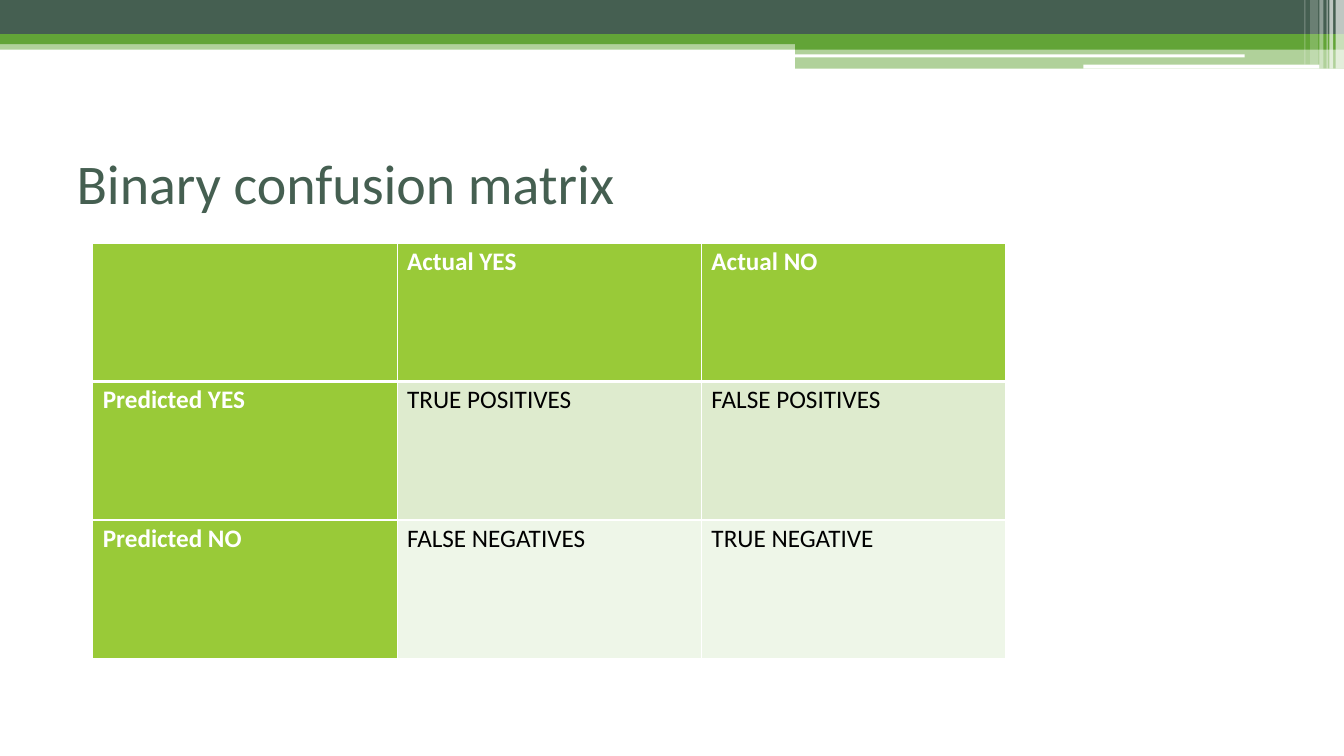
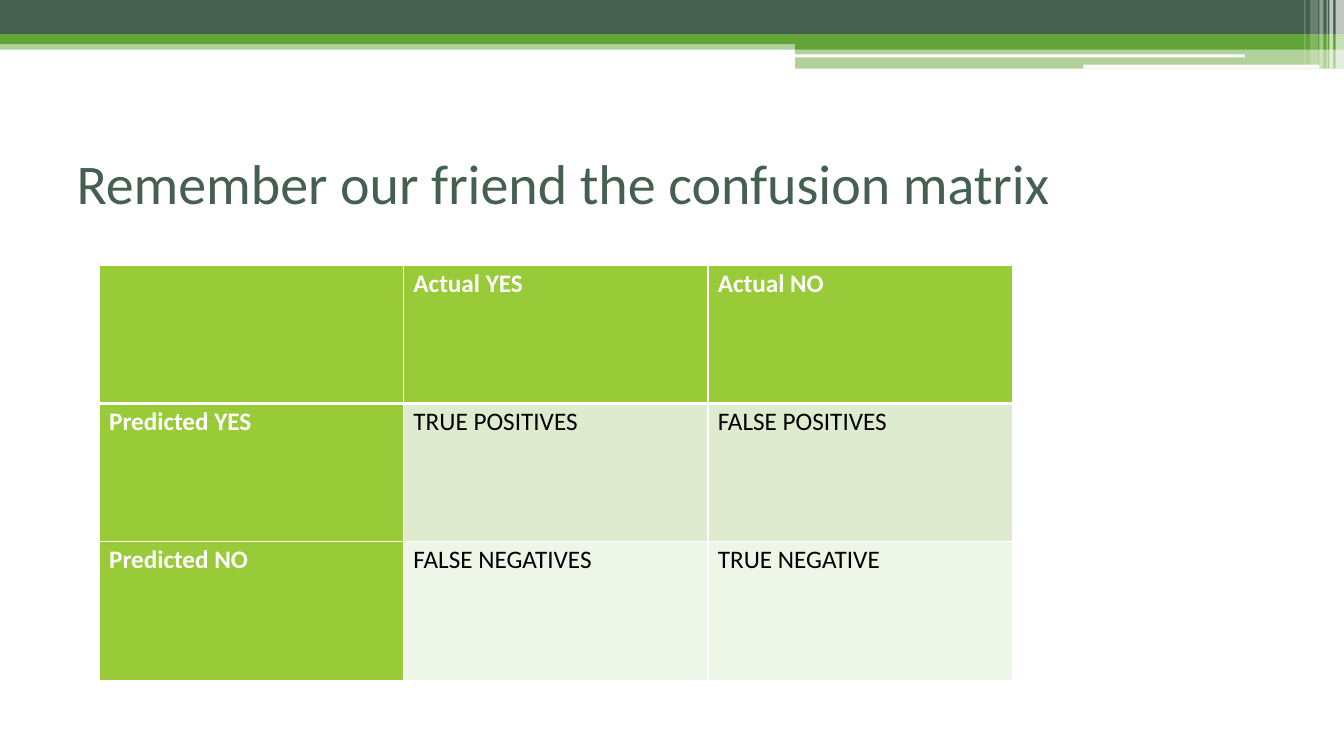
import pptx
import pptx.util
import pptx.dml.color
import pptx.enum.shapes
import pptx.enum.text
import pptx.oxml
import pptx.oxml.ns

Cm = pptx.util.Cm
Pt = pptx.util.Pt
RGB = pptx.dml.color.RGBColor

FONT = "Calibri"
DARK = RGB(0x45, 0x5F, 0x51)
GREEN = RGB(0x62, 0xA4, 0x37)
LIME = RGB(0x99, 0xCA, 0x38)
PALE = RGB(0xDE, 0xEB, 0xCE)
MIST = RGB(0xEE, 0xF6, 0xE8)
WHITE = RGB(0xFF, 0xFF, 0xFF)
BLACK = RGB(0x00, 0x00, 0x00)

WIDE, HIGH = 33.87, 19.05
STEP = 20.04  # where the header band steps down

# Stripes at the right end: distance from the right edge, width, height, opacity
STRIPES = [
    (0.37, 0.1, 1.73, 65),
    (0.21, 0.21, 1.73, 65),
    (0.44, 0.03, 1.73, 60),
    (0.62, 0.1, 1.73, 40),
    (0.85, 0.2, 1.63, 20),
    (1.0, 0.03, 1.63, 30),
]

MATRIX = [
    ["", "Actual YES", "Actual NO"],
    ["Predicted YES", "TRUE POSITIVES", "FALSE POSITIVES"],
    ["Predicted NO", "FALSE NEGATIVES", "TRUE NEGATIVE"],
]

# Title, title width, table left, table top
PAGES = [
    ("Binary confusion matrix", 13.64, 2.34, 6.13),
    ("Remember our friend the confusion matrix", 24.61, 2.5, 6.68),
]


def paint(shape, color, alpha=100):
    shape.shadow.inherit = False
    shape.line.fill.background()
    shape.fill.solid()
    shape.fill.fore_color.rgb = color
    if alpha < 100:
        clr = shape.element.spPr.find(".//" + pptx.oxml.ns.qn("a:srgbClr"))
        node = pptx.oxml.parse_xml(
            f'<a:alpha {pptx.oxml.ns.nsdecls("a")} val="{alpha * 1000}"/>')
        clr.append(node)


def add_bar(slide, left, top, width, height, color, alpha=100):
    kind = pptx.enum.shapes.MSO_SHAPE.RECTANGLE
    bar = slide.shapes.add_shape(kind, Cm(left), Cm(top), Cm(width), Cm(height))
    paint(bar, color, alpha)


def add_head(slide, left, top, width):
    right = left + width
    step = left + STEP
    add_bar(slide, left, top + 1.12, STEP, 0.13, GREEN, 50)
    add_bar(slide, left, top, width, 0.86, DARK)

    # Stepped green band
    edge = [(right, 0.86), (right, 1.25), (step, 1.25), (step, 1.12), (left, 1.12)]
    pen = slide.shapes.build_freeform(Cm(left), Cm(top + 0.86))
    pen.add_line_segments([(Cm(x), Cm(top + y)) for x, y in edge], close=True)
    paint(pen.convert_to_shape(), GREEN)

    # Pale band with two white rules
    add_bar(slide, step, top + 1.22, width - STEP, 0.51, GREEN, 50)
    add_bar(slide, step, top + 1.37, 11.33, 0.08, WHITE)
    add_bar(slide, left + 27.3, top + 1.63, 5.95, 0.1, WHITE)

    for back, wide, high, alpha in STRIPES:
        add_bar(slide, right - back, top, wide, high, WHITE, alpha)


def set_font(para, size, color, bold=False):
    para.font.name = FONT
    para.font.size = Pt(size)
    para.font.bold = bold
    para.font.color.rgb = color


def add_title(slide, text, left, top, width, height):
    box = slide.shapes.add_textbox(Cm(left), Cm(top), Cm(width), Cm(height))
    frame = box.text_frame
    frame.word_wrap = True
    frame.auto_size = pptx.enum.text.MSO_AUTO_SIZE.SHAPE_TO_FIT_TEXT
    frame.margin_left = Cm(0.03)
    frame.margin_right = frame.margin_bottom = 0
    frame.margin_top = Cm(0.06)
    para = frame.paragraphs[0]
    para.text = text
    set_font(para, 40, DARK)


def set_edges(cell, row):
    # A thick rule parts the header row from the body
    sizes = {"L": 1, "R": 1, "T": 3 if row == 1 else 1, "B": 3 if row == 0 else 1}
    props = cell._tc.get_or_add_tcPr()
    for spot, (side, size) in enumerate(sizes.items()):
        props.insert(spot, pptx.oxml.parse_xml(
            f'<a:ln{side} {pptx.oxml.ns.nsdecls("a")} w="{Pt(size)}"><a:solidFill>'
            f'<a:srgbClr val="{WHITE}"/></a:solidFill></a:ln{side}>'))


def add_matrix(slide, left, top, width, height):
    count = len(MATRIX)
    frame = slide.shapes.add_table(
        count, count, Cm(left), Cm(top), Cm(width), Cm(height))
    table = frame.table
    table.first_row = table.horz_banding = False
    for line in table.rows:
        line.height = Cm(height / count)
    for row, texts in enumerate(MATRIX):
        for col, text in enumerate(texts):
            cell = table.cell(row, col)
            label = row == 0 or col == 0
            cell.margin_left = Cm(0.25)
            cell.margin_top = Cm(0.08)
            cell.margin_right = cell.margin_bottom = 0
            cell.fill.solid()
            cell.fill.fore_color.rgb = LIME if label else (PALE, MIST)[row - 1]
            set_edges(cell, row)
            para = cell.text_frame.paragraphs[0]
            para.text = text
            set_font(para, 18, WHITE if label else BLACK, label)


def add_page(deck, title, width, left, top):
    slide = deck.slides.add_slide(deck.slide_layouts[6])
    add_head(slide, 0, 0, WIDE)
    add_title(slide, title, 1.9, 3.68, width, 1.75)
    add_matrix(slide, left, top, 23.01, 10.46)


def main():
    deck = pptx.Presentation()
    deck.slide_width, deck.slide_height = Cm(WIDE), Cm(HIGH)
    for page in PAGES:
        add_page(deck, *page)
    deck.save("out.pptx")


if __name__ == "__main__":
    main()
